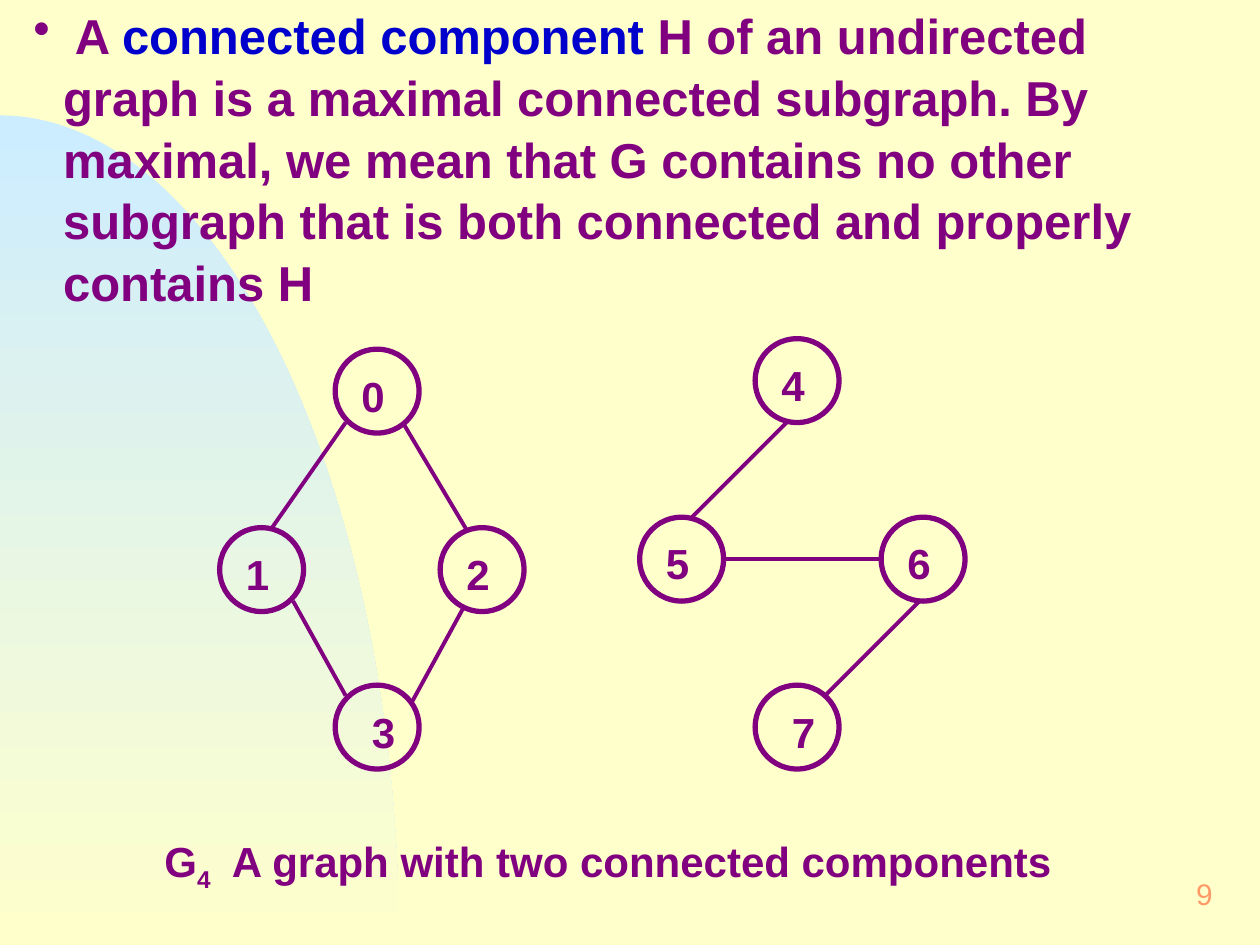
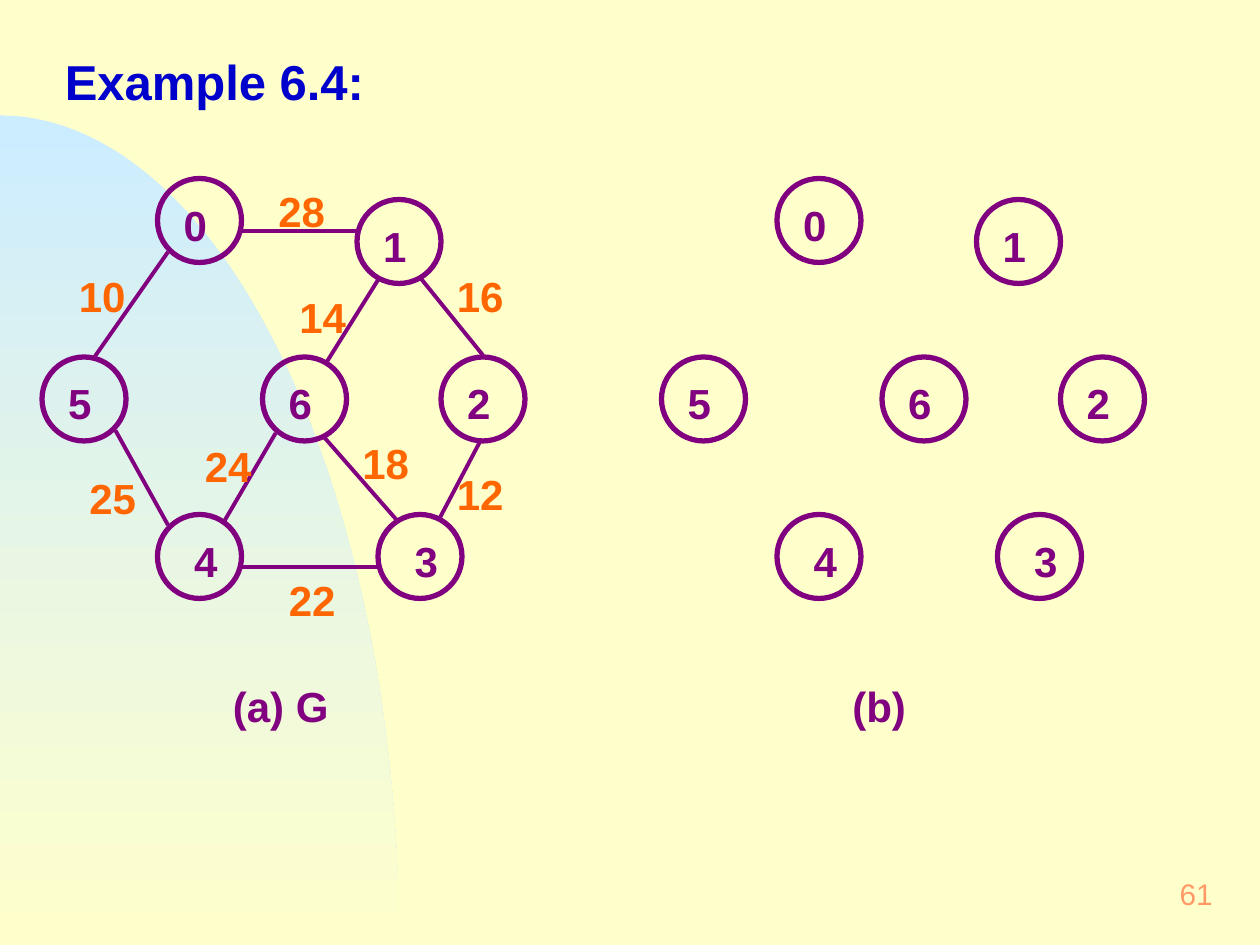
from dataclasses import dataclass
from math import cos, pi, sin

from lxml.etree import SubElement
from pptx import Presentation
from pptx.dml.color import RGBColor as RGB
from pptx.enum.shapes import MSO_CONNECTOR as Connector, MSO_SHAPE as Shape
from pptx.enum.text import MSO_ANCHOR as Anchor, PP_ALIGN as Align
from pptx.oxml.ns import qn
from pptx.util import Pt


@dataclass(frozen=True)
class Theme:
    font: str = "Arial"
    paper: RGB = RGB(0xFF, 0xFF, 0xCC)
    sky: RGB = RGB(0xCC, 0xEC, 0xFF)
    ink: RGB = RGB(0x80, 0x00, 0x80)
    accent: RGB = RGB(0x00, 0x00, 0xCC)
    weight: RGB = RGB(0xFF, 0x66, 0x00)
    number: RGB = RGB(0xFF, 0x99, 0x66)
    heading_size: int = 28
    label_size: int = 24
    number_size: int = 17
    node_line: float = 3
    edge_line: float = 2.25
    node_size: float = 48
    line_spacing: float = 1.05


THEME = Theme()
SLIDE_WIDTH, SLIDE_HEIGHT = 720, 540
WIDE_INSETS = (9, 4.5)
NORMAL_INSETS = (7.2, 3.6)

# Node number: left, top, left offset of its label
COMPONENT_NODES = {
    0: (191.5, 199.5, 6), 1: (125.5, 301.5, 6), 2: (251.5, 301.5, 6),
    3: (191.5, 391.5, 12), 4: (431.5, 193.5, 6), 5: (365.5, 295.5, 6),
    6: (503.5, 295.5, 6), 7: (431.5, 391.5, 12),
}
# Edge ends: x1, y1, x2, y2
COMPONENT_EDGES = [
    (197.5, 241.5, 155.5, 301.5), (230.5, 242, 266.5, 302.5),
    (167.5, 343.5, 197.5, 397.5), (265, 347, 235.5, 401),
    (449.5, 241.5, 395.5, 295.5), (413.5, 319.5, 503.5, 319.5),
    (525.5, 343.5, 471.5, 397.5),
]
WEIGHTED_NODES = {
    0: (90, 102, 6), 1: (204, 114, 6), 2: (252, 204, 6), 3: (216, 294, 12),
    4: (90, 294, 12), 5: (24, 204, 6), 6: (150, 204, 6),
}
# Weight: edge ends, left and top of the weight label
WEIGHTED_EDGES = {
    28: ((204, 132, 138, 132), (150, 100)),
    16: ((240, 158.5, 276, 203), (252, 148.5)),
    14: ((216, 160, 186, 208), (162, 160.5)),
    10: ((96, 144, 54, 204), (36, 148.5)),
    24: ((157.5, 247.5, 127.5, 299), (108, 246)),
    25: ((66, 246, 96, 300), (42, 264)),
    22: ((216, 324, 138, 324), (156, 322.5)),
    18: ((184.5, 249, 227, 297.5), (198, 244)),
    12: ((274.5, 252, 250.5, 297.5), (252, 262)),
}
SECOND_GRAPH_SHIFT = 354


def add_text(slide, box, runs, size, insets=NORMAL_INSETS, spacing=THEME.line_spacing):
    """Add one paragraph of (text, colour) runs and return its shape."""
    shape = slide.shapes.add_textbox(*map(Pt, box))
    frame = shape.text_frame
    frame.word_wrap = True
    frame.margin_left = frame.margin_right = Pt(insets[0])
    frame.margin_top = frame.margin_bottom = Pt(insets[1])
    paragraph = frame.paragraphs[0]
    paragraph.line_spacing = spacing
    for text, colour in runs:
        run = paragraph.add_run()
        run.text = text
        run.font.name = THEME.font
        run.font.size = Pt(size)
        run.font.bold = True
        run.font.color.rgb = colour
    return shape


def add_label(slide, left, top, width, text, colour):
    add_text(slide, (left, top, width, 37.5), [(text, colour)],
             THEME.label_size, WIDE_INSETS)


def add_node(slide, number, left, top, label_offset):
    size = Pt(THEME.node_size)
    circle = slide.shapes.add_shape(Shape.OVAL, Pt(left), Pt(top), size, size)
    circle.shadow.inherit = False
    circle.fill.background()
    circle.line.color.rgb = THEME.ink
    circle.line.width = Pt(THEME.node_line)
    add_label(slide, left + label_offset, top + 6, 36, str(number), THEME.ink)


def add_nodes(slide, nodes, shift=0):
    for number, (left, top, label_offset) in nodes.items():
        add_node(slide, number, left + shift, top, label_offset)


def add_edge(slide, ends):
    edge = slide.shapes.add_connector(Connector.STRAIGHT, *map(Pt, ends))
    edge.line.color.rgb = THEME.ink
    edge.line.width = Pt(THEME.edge_line)
    SubElement(edge._element.spPr, qn("a:effectLst"))


def add_arc_band(slide):
    """Quarter ellipse fading down into the background."""
    width, height, steps = 228, 474, 90
    points = [(Pt(width * sin(step * pi / 2 / steps)),
               Pt(SLIDE_HEIGHT - height * cos(step * pi / 2 / steps)))
              for step in range(steps + 1)]
    builder = slide.shapes.build_freeform(*points[0])
    builder.add_line_segments(points[1:] + [(0, Pt(SLIDE_HEIGHT))], close=True)
    band = builder.convert_to_shape()
    band.shadow.inherit = False
    band.line.fill.background()
    band.fill.gradient()
    band.fill.gradient_angle = 270
    for stop, colour, position in zip(band.fill.gradient_stops,
                                      (THEME.sky, THEME.paper), (0, 1)):
        stop.color.rgb = colour
        stop.position = position


def add_slide(presentation, number):
    slide = presentation.slides.add_slide(presentation.slide_layouts[6])
    add_arc_band(slide)
    page = add_text(slide, (552, 492, 150, 36), [(str(number), THEME.number)],
                    THEME.number_size, WIDE_INSETS)
    page.text_frame.vertical_anchor = Anchor.MIDDLE
    paragraph = page.text_frame.paragraphs[0]
    paragraph.alignment = Align.RIGHT
    paragraph.runs[0].font.bold = False
    return slide


def add_definition(slide, runs):
    shape = add_text(slide, (12, -2, 696, 175.5), runs, THEME.heading_size)
    properties = shape.text_frame.paragraphs[0]._p.get_or_add_pPr()
    properties.set("marL", str(Pt(17)))
    properties.set("indent", str(-Pt(17)))
    bullet_colour = SubElement(properties, qn("a:buClr"))
    SubElement(bullet_colour, qn("a:srgbClr"), val=str(THEME.ink))
    SubElement(properties, qn("a:buChar"), char="•")


def add_graph_caption(slide):
    shape = add_text(slide, (80, 472.5, 552, 40),
                     [("G", THEME.ink), ("4", THEME.ink),
                      ("\tA graph with two connected components", THEME.ink)],
                     THEME.label_size)
    shape.text_frame.margin_left = Pt(14)
    paragraph = shape.text_frame.paragraphs[0]
    tabs = SubElement(paragraph._p.get_or_add_pPr(), qn("a:tabLst"))
    SubElement(tabs, qn("a:tab"), pos=str(Pt(38.5)), algn="l")
    paragraph.runs[1].font._element.set("baseline", "-25000")


def build_components_slide(presentation):
    slide = add_slide(presentation, 9)
    add_nodes(slide, COMPONENT_NODES)
    for ends in COMPONENT_EDGES:
        add_edge(slide, ends)
    add_graph_caption(slide)
    add_definition(slide, [
        (" A ", THEME.ink),
        ("connected component", THEME.accent),
        (" H of an undirected graph is a maximal connected subgraph. "
         "By maximal, we mean that G contains no other subgraph that is "
         "both connected and properly contains H", THEME.ink),
    ])


def build_example_slide(presentation):
    slide = add_slide(presentation, 61)
    for shift, caption in ((0, "(a) G"), (SECOND_GRAPH_SHIFT, "(b)")):
        add_nodes(slide, WEIGHTED_NODES, shift)
        add_text(slide, (126 + shift, 384, 78, 36), [(caption, THEME.ink)],
                 THEME.label_size)
    for weight, (ends, (left, top)) in WEIGHTED_EDGES.items():
        add_edge(slide, ends)
        add_label(slide, left, top, 54, str(weight), THEME.weight)
    add_text(slide, (30, 26, 205, 39.5), [("Example 6.4:", THEME.accent)],
             THEME.heading_size, spacing=1.0)


def main():
    presentation = Presentation()
    presentation.slide_width = Pt(SLIDE_WIDTH)
    presentation.slide_height = Pt(SLIDE_HEIGHT)
    background = presentation.slide_master.background.fill
    background.solid()
    background.fore_color.rgb = THEME.paper
    build_components_slide(presentation)
    build_example_slide(presentation)
    presentation.save("out.pptx")


if __name__ == "__main__":
    main()
